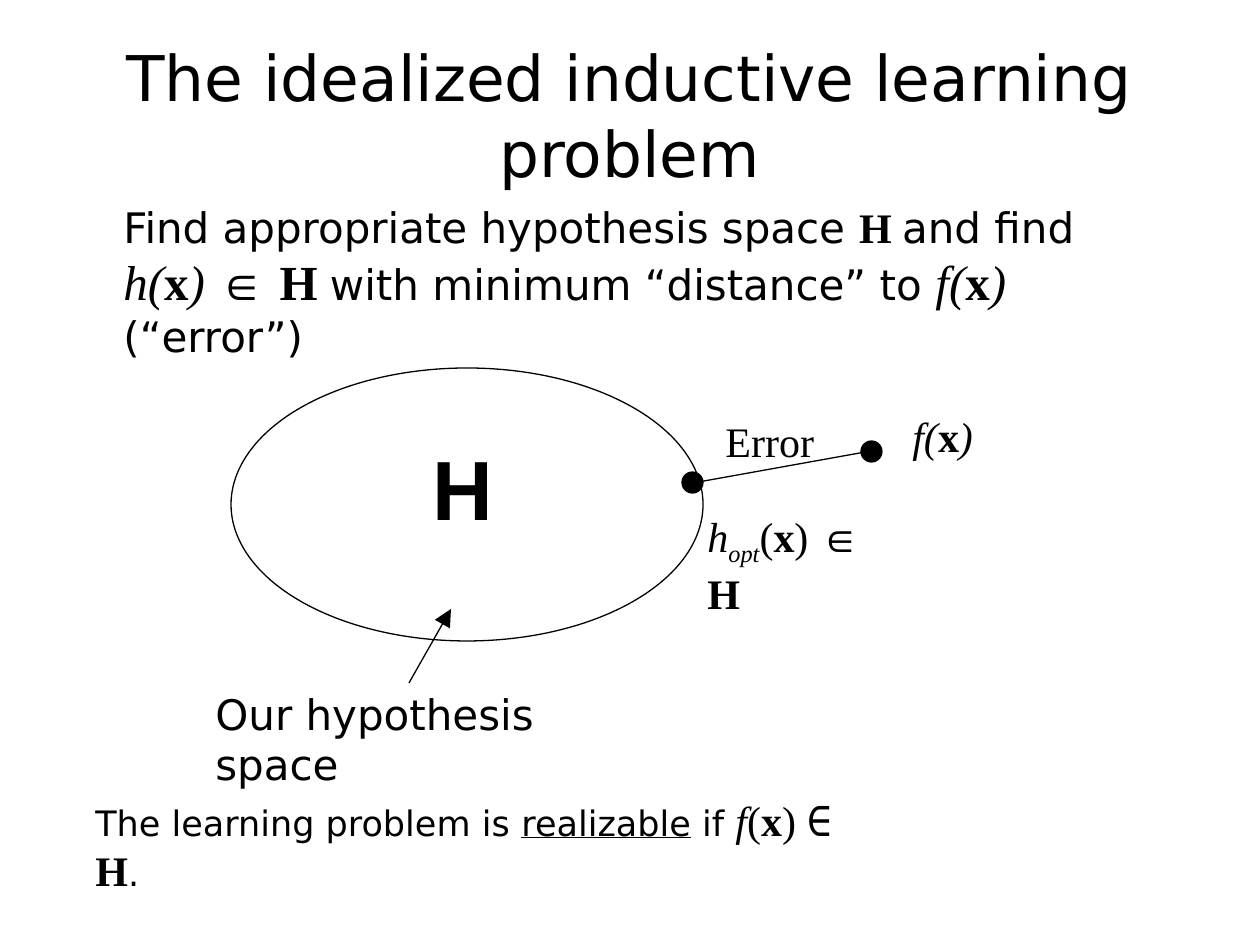
from lxml.etree import SubElement
from pptx import Presentation
from pptx.dml.color import RGBColor
from pptx.enum.shapes import MSO_CONNECTOR, MSO_SHAPE
from pptx.enum.text import MSO_ANCHOR, PP_ALIGN
from pptx.oxml.ns import qn
from pptx.util import Emu, Pt

PX = 914400 // 126
BLACK = "000000"
SANS, SERIF, ARIAL, MONO = "DejaVu Sans", "Times New Roman", "Arial", "DejaVu Sans Mono"


def paint(color, value):
    color.rgb = RGBColor.from_string(value)


def add_text(box, runs, font, size):
    tb = s.shapes.add_textbox(*[Emu(v * PX) for v in box])
    tf = tb.text_frame
    tf.word_wrap = True
    p = tf.paragraphs[0]
    p.font.name, p.font.size = font, Pt(size)
    paint(p.font.color, BLACK)
    for text, style, *face in runs:
        if text == "\n":
            p.add_line_break()
            continue
        r = p.add_run()
        r.text = text
        if "b" in style:
            r.font.bold = True
        if "i" in style:
            r.font.italic = True
        if "u" in style:
            r.font.underline = True
        if "s" in style:
            r._r.get_or_add_rPr().set("baseline", "-25000")
        if face:
            r.font.name, r.font.size = face[0], Pt(face[1])
    return tf


prs = Presentation()
prs.slide_width, prs.slide_height = Emu(1260 * PX), Emu(945 * PX)
s = prs.slides.add_slide(prs.slide_layouts[6])

tf = add_text((94, 35, 1071, 158), [("The idealized inductive learning problem", "")], SANS, 36)
tf.vertical_anchor = MSO_ANCHOR.MIDDLE
tf.paragraphs[0].alignment = PP_ALIGN.CENTER

add_text((203, 682, 451, 63), [("Our hypothesis space", "")], SANS, 24)

for x, y, w, h, fill in [
    (231, 368, 472, 273, None),
    (861, 441, 21, 21, BLACK),
    (682, 472, 21, 21, BLACK),
]:
    sp = s.shapes.add_shape(MSO_SHAPE.OVAL, *[Emu(v * PX) for v in (x, y, w, h)])
    sp.shadow.inherit = False
    if fill:
        sp.fill.solid()
        paint(sp.fill.fore_color, fill)
    else:
        sp.fill.background()
    paint(sp.line.color, BLACK)
    sp.line.width = Pt(0.75)

for *ends, arrow in [(693, 483, 871, 451, False), (409, 683, 451, 609, True)]:
    cn = s.shapes.add_connector(MSO_CONNECTOR.STRAIGHT, *[Emu(v * PX) for v in ends])
    paint(cn.line.color, BLACK)
    cn.line.width = Pt(0.75)
    if arrow:
        SubElement(cn.line._get_or_add_ln(), qn("a:tailEnd"), type="triangle", w="lg", len="lg")
    SubElement(cn._element.spPr, qn("a:effectLst"))

add_text((420, 430, 92, 113), [("Η", "b")], ARIAL, 48)
add_text((900, 404, 100, 63), [("f(", "i"), ("x", "b"), (")", "i")], SERIF, 24)
add_text((713, 409, 130, 63), [("Error", "")], SERIF, 24)
add_text((695, 504, 210, 71), [
    ("h", "i"),
    ("opt", "is"),
    ("(", ""),
    ("x", "b"),
    (") ", ""),
    ("∈ ", "", ARIAL, 24),
    ("H", "b"),
], SERIF, 24)

add_text((111, 195, 1018, 122), [
    ("Find appropriate hypothesis space ", ""),
    ("H ", "b", SERIF, 24),
    ("and find", ""),
    ("\n", ""),
    ("h(", "i", SERIF, 28),
    ("x", "b", SERIF, 28),
    (") ", "i", SERIF, 28),
    ("∈ ", "", ARIAL, 28),
    ("H ", "b", SERIF, 28),
    ("with minimum “distance” to ", ""),
    ("f(", "i", SERIF, 28),
    ("x", "b", SERIF, 28),
    (")", "i", SERIF, 28),
    (" (“error”)", ""),
], SANS, 24)

add_text((83, 788, 784, 63), [
    ("The learning problem is ", ""),
    ("realizable", "u"),
    (" if ", ""),
    ("f", "i", SERIF, 24),
    ("(", "", SERIF, 24),
    ("x", "b", SERIF, 24),
    (") ", "", SERIF, 24),
    ("∈ ", "", MONO, 24),
    ("H", "b", SERIF, 24),
    (".", ""),
], SANS, 20)

prs.save("out.pptx")
